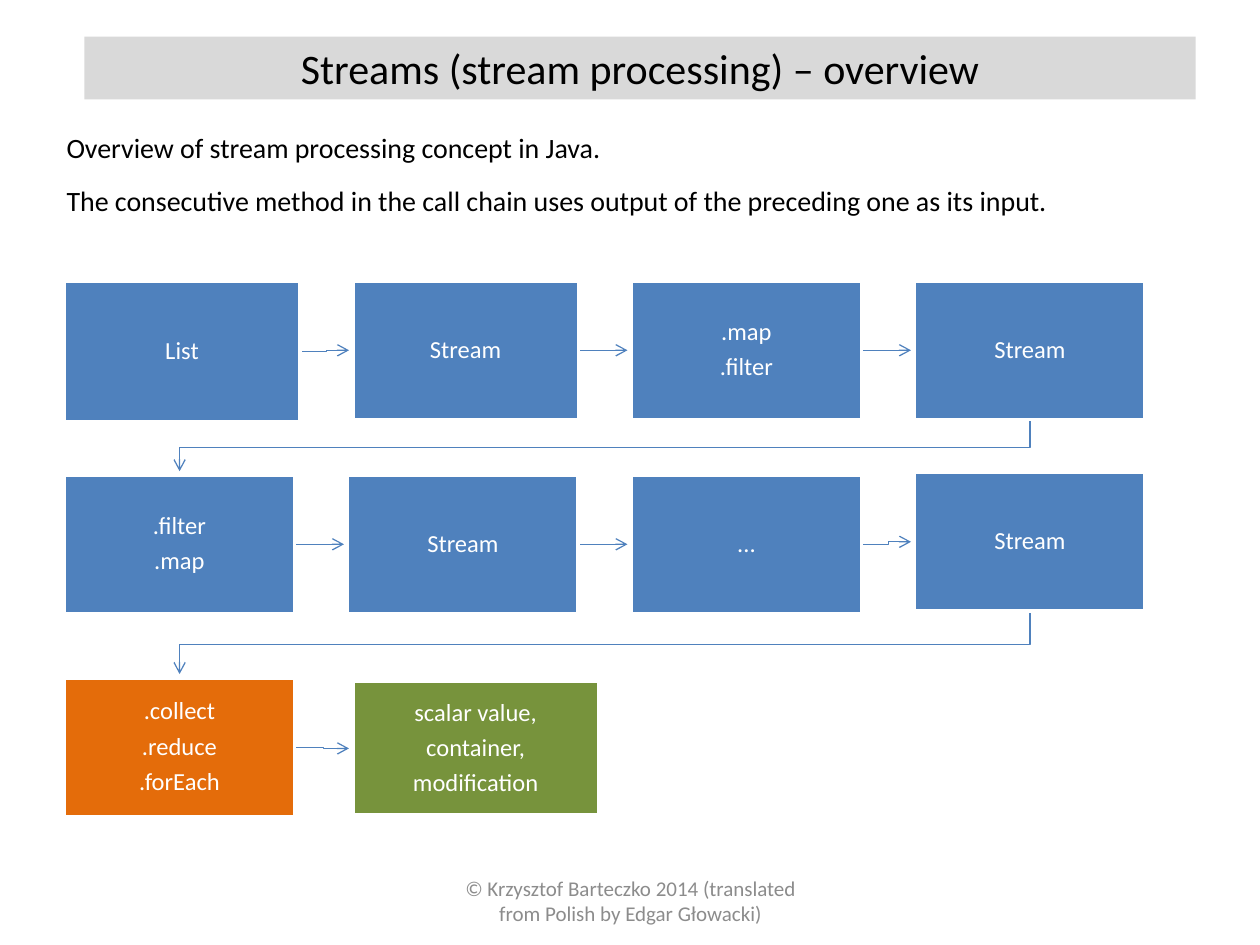
from dataclasses import dataclass
from itertools import pairwise

from lxml import etree
from pptx import Presentation
from pptx.dml.color import RGBColor
from pptx.enum.shapes import MSO_CONNECTOR as Connector, MSO_SHAPE as Shape
from pptx.enum.text import MSO_ANCHOR as Anchor, PP_ALIGN as Align
from pptx.oxml.ns import qn
from pptx.util import Inches, Pt


@dataclass(frozen=True)
class Theme:
    font: str = "Calibri"
    black: str = "000000"
    white: str = "FFFFFF"
    grey: str = "8C8C8C"
    band: str = "D9D9D9"
    blue: str = "4F81BD"
    orange: str = "E46C0A"
    green: str = "77933C"
    title: int = 24
    body: int = 16
    step: int = 14
    footer: int = 12


theme = Theme()
rgb = RGBColor.from_string


def write(shape, lines, size, color, align, anchor=Anchor.TOP):
    frame = shape.text_frame
    frame.word_wrap = True
    frame.vertical_anchor = anchor
    for index, line in enumerate(lines):
        para = frame.add_paragraph() if index else frame.paragraphs[0]
        para.alignment = align
        span = para.add_run()
        span.text = line
        span.font.name = theme.font
        span.font.size = Pt(size)
        span.font.color.rgb = rgb(color)
    return frame


deck = Presentation()
deck.slide_width, deck.slide_height = Inches(10), Inches(7.5)
page = deck.slides.add_slide(deck.slide_layouts[6])
shapes = page.shapes

# Footer, title and introduction
footer = shapes.add_textbox(Inches(3.42), Inches(6.95), Inches(3.17), Inches(0.4))
write(footer, ["© Krzysztof Barteczko 2014 (translated from Polish by Edgar Głowacki)"],
      theme.footer, theme.grey, Align.CENTER, Anchor.MIDDLE)

title = shapes.add_shape(Shape.RECTANGLE, Inches(0.67), Inches(0.29), Inches(8.82), Inches(0.5))
title.shadow.inherit = False
title.fill.solid()
title.fill.fore_color.rgb = rgb(theme.band)
title.line.fill.background()
write(title, ["Streams (stream processing) – overview"], theme.title, theme.black, Align.CENTER)

introduction = [
    (0.99, "Overview of stream processing concept in Java."),
    (1.41, "The consecutive method in the call chain uses output of the preceding one as its input."),
]
for top, sentence in introduction:
    box = shapes.add_textbox(Inches(0.43), Inches(top), Inches(9.13), Inches(0.37))
    write(box, [sentence], theme.body, theme.black, Align.LEFT)

# Steps of the call chain: left, top, width, height, fill, lines
steps = [
    (0.51, 2.23, 1.87, 1.12, theme.blue, ["List"]),
    (2.80, 2.23, 1.79, 1.10, theme.blue, ["Stream"]),
    (5.01, 2.23, 1.83, 1.10, theme.blue, [".map", ".filter"]),
    (7.26, 2.23, 1.83, 1.10, theme.blue, ["Stream"]),
    (0.51, 3.77, 1.83, 1.10, theme.blue, [".filter", ".map"]),
    (2.76, 3.77, 1.83, 1.10, theme.blue, ["Stream"]),
    (5.01, 3.77, 1.83, 1.10, theme.blue, ["..."]),
    (7.26, 3.75, 1.83, 1.10, theme.blue, ["Stream"]),
    (0.51, 5.38, 1.83, 1.10, theme.orange, [".collect", ".reduce", ".forEach"]),
    (2.80, 5.41, 1.95, 1.06, theme.green, ["scalar value,", "container,", "modification"]),
]
step_boxes = []
for left, top, width, height, fill, lines in steps:
    box = shapes.add_shape(Shape.RECTANGLE, Inches(left), Inches(top), Inches(width), Inches(height))
    box.shadow.inherit = False
    box.fill.solid()
    box.fill.fore_color.rgb = rgb(fill)
    box.line.color.rgb = rgb(theme.white)
    box.line.width = Pt(2)
    frame = write(box, lines, theme.step, theme.white, Align.CENTER, Anchor.MIDDLE)
    frame.margin_left = frame.margin_right = Inches(0.11)
    frame.margin_top = frame.margin_bottom = Inches(0.11)
    for para in frame.paragraphs:
        para.line_spacing = 0.9
        para.space_after = Pt(0.35 * theme.step)
    step_boxes.append(box)

# Arrows stop just short of the next step and lie behind the boxes
gap = Inches(0.03)
for source, target in pairwise(step_boxes):
    source_x = source.left + source.width // 2
    source_y = source.top + source.height // 2
    target_x = target.left + target.width // 2
    target_y = target.top + target.height // 2
    if target.left > source.left:
        start = (source.left + source.width, source_y)
        end = (target.left - gap, target_y)
        middle = (start[0] + end[0] + gap) // 2
        bends = [(middle, source_y), (middle, target_y)]
    else:
        start = (source_x, source.top + source.height)
        end = (target_x, target.top - gap)
        middle = (start[1] + end[1] + gap) // 2
        bends = [(source_x, middle), (target_x, middle)]

    if start[1] == end[1]:
        arrow = shapes.add_connector(Connector.STRAIGHT, *start, *end)
        arrow.begin_connect(source, 3)
        etree.SubElement(arrow.element.spPr, qn("a:effectLst"))
    else:
        builder = shapes.build_freeform(*start)
        builder.add_line_segments([*bends, end], close=False)
        arrow = builder.convert_to_shape()
        arrow.fill.background()
        arrow.shadow.inherit = False
    arrow.line.color.rgb = rgb(theme.blue)
    arrow.line.width = Pt(0.75)
    etree.SubElement(arrow.line._get_or_add_ln(), qn("a:tailEnd"), type="arrow")
    step_boxes[0].element.addprevious(arrow.element)

deck.save("out.pptx")
